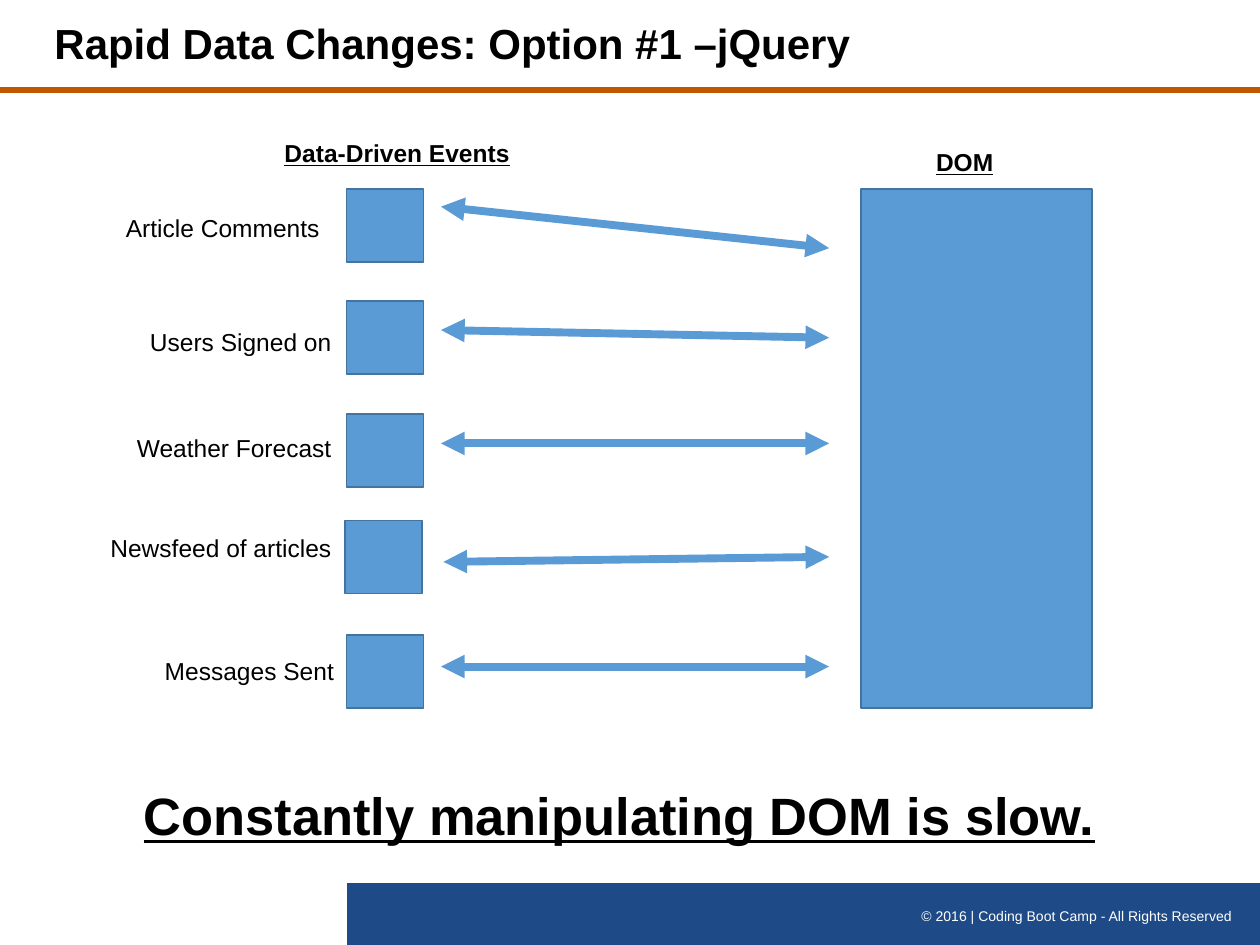
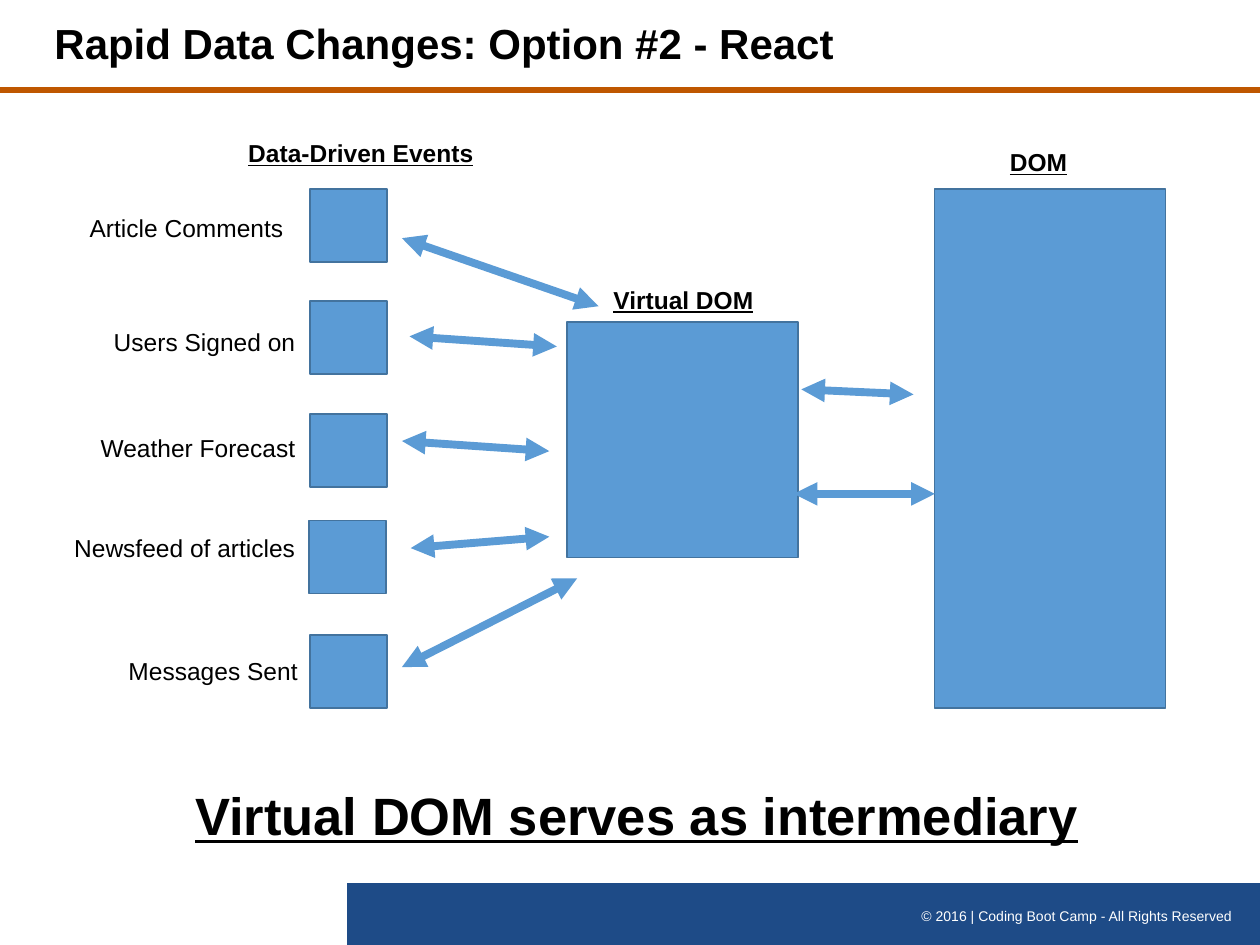
import pptx
import pptx.util
import pptx.dml.color
import pptx.enum.shapes
import pptx.enum.text
import pptx.oxml.ns
import lxml.etree

Pt = pptx.util.Pt
SHAPES = pptx.enum.shapes.MSO_SHAPE
ALIGN = pptx.enum.text.PP_ALIGN
ANCHOR = pptx.enum.text.MSO_ANCHOR

COLORS = {
    "text": "000000",
    "footer_text": "FFFFFF",
    "footer_band": "1E4B87",
    "title_rule": "BF5700",
    "block": "5B9BD5",
    "block_edge": "43739E",
}
FONTS = {
    "title": {"size": Pt(24), "bold": True},
    "heading": {"size": Pt(14), "bold": True, "underline": True},
    "label": {"size": Pt(14)},
    "message": {"size": Pt(30), "bold": True, "underline": True},
    "footer": {"size": Pt(8)},
}
COPYRIGHT = "© 2016 | Coding Boot Camp - All Rights Reserved"

SLIDE_SIZE = (720, 540)
TITLE_LEFT, TITLE_HEIGHT = 24, 52
SQUARE = (44, 41.7)
LABEL_SIZE = (175.7, 24.5)
DOM_TOP, DOM_SIZE = 108, (132, 296.6)
MESSAGE_TOP, MESSAGE_HEIGHT = 444.2, 44

# fmt: off
EVENTS = [
    {"name": "Article Comments ", "label": (-180, 118.1), "square": (0, 108)},
    {"name": "Users Signed on", "label": (-177.1, 183.6), "square": (0, 171.9)},
    {"name": "Weather Forecast", "label": (-177.1, 244.1), "square": (0, 236.7)},
    {"name": "Newsfeed of articles", "label": (-177.1, 301), "square": (-0.7, 297.4)},
    {"name": "Messages Sent", "label": (-175.7, 371.5), "square": (0, 362.7)},
]
# fmt: on

DIAGRAMS = [
    {
        "title": "Rapid Data Changes: Option #1 –jQuery",
        "title_width": 630,
        "events_left": 198,
        "dom_left": 491.8,
        "virtual_dom": None,
        "arrows": [
            (252, 118.1, 473.8, 141.8),
            (252, 188.6, 473.8, 193),
            (252, 253.4, 473.8, 253.4),
            (253.4, 321.1, 473.8, 318.2),
            (252, 380.9, 473.8, 380.9),
        ],
        "message": "Constantly manipulating DOM is slow.",
        "message_span": (24, 660),
    },
    {
        "title": "Rapid Data Changes: Option #2 - React",
        "title_width": 564,
        "events_left": 177.3,
        "dom_left": 534,
        "virtual_dom": {"block": (324, 184.1, 132, 134.6), "heading": (343.4, 159.1, 102.2, 24.5)},
        "arrows": [
            (229.7, 136.1, 342, 175),
            (234, 192.2, 318.2, 198),
            (229.7, 252, 313.9, 257.8),
            (234.7, 313.2, 313.9, 306.7),
            (229.7, 381.2, 329.8, 330.5),
            (457.9, 222.5, 522, 225.4),
            (453.6, 282.2, 534.2, 282.2),
        ],
        "message": "Virtual DOM serves as intermediary",
        "message_span": (86.4, 555.1),
    },
]


def rgb(color):
    return pptx.dml.color.RGBColor.from_string(COLORS[color])


def set_attributes(target, values):
    for name, value in values.items():
        setattr(target, name, value)


def add_text(slide, text, box, style, align=ALIGN.LEFT, color="text", anchor=ANCHOR.TOP, spacing=1.0):
    frame = slide.shapes.add_textbox(*map(Pt, box)).text_frame
    set_attributes(frame, {"word_wrap": True, "vertical_anchor": anchor})
    paragraph = frame.paragraphs[0]
    set_attributes(paragraph, {"text": text, "alignment": align, "line_spacing": spacing})
    set_attributes(paragraph.runs[0].font, {"name": "Arial", **FONTS[style]})
    paragraph.runs[0].font.color.rgb = rgb(color)


def add_block(slide, box, fill="block", edge="block_edge", kind=SHAPES.RECTANGLE):
    shape = slide.shapes.add_shape(kind, *map(Pt, box))
    shape.shadow.inherit = False
    shape.fill.solid()
    shape.fill.fore_color.rgb = rgb(fill)
    if edge:
        shape.line.color.rgb = rgb(edge)
        shape.line.width = Pt(1)
    else:
        shape.line.fill.background()


def add_line(slide, ends, color, width, arrowheads=()):
    connector = slide.shapes.add_connector(pptx.enum.shapes.MSO_CONNECTOR.STRAIGHT, *map(Pt, ends))
    connector.line.color.rgb = rgb(color)
    connector.line.width = Pt(width)
    outline = connector.line._get_or_add_ln()
    for end in arrowheads:
        lxml.etree.SubElement(outline, pptx.oxml.ns.qn(end), type="triangle")
    lxml.etree.SubElement(connector._element.spPr, pptx.oxml.ns.qn("a:effectLst"))


def add_frame(slide, title, title_width):
    add_block(slide, (198, 504.6, 522.5, 36), "footer_band", None, SHAPES.FLOWCHART_PROCESS)
    add_line(slide, (0, TITLE_HEIGHT - 0.5, SLIDE_SIZE[0], TITLE_HEIGHT - 0.5), "title_rule", 3.25)
    add_text(slide, COPYRIGHT, (491.8, 514.8, 219.6, 17.3), "footer", ALIGN.RIGHT, "footer_text")
    title_box = (TITLE_LEFT, 0, title_width, TITLE_HEIGHT)
    add_text(slide, title, title_box, "title", anchor=ANCHOR.MIDDLE, spacing=0.9)


def add_events(slide, left):
    add_text(slide, "Data-Driven Events", (left - 42.5, 75.6, 146.9, 24.5), "heading")
    for event in EVENTS:
        (label_shift, label_top), (square_shift, square_top) = event["label"], event["square"]
        add_block(slide, (left + square_shift, square_top, *SQUARE))
        add_text(slide, event["name"], (left + label_shift, label_top, *LABEL_SIZE), "label", ALIGN.RIGHT)


def add_diagram(slide, diagram):
    add_frame(slide, diagram["title"], diagram["title_width"])
    add_events(slide, diagram["events_left"])
    dom_left = diagram["dom_left"]
    add_block(slide, (dom_left, DOM_TOP, *DOM_SIZE))
    add_text(slide, "DOM", (dom_left + 36, 80.6, 81.4, 24.5), "heading")
    virtual_dom = diagram["virtual_dom"]
    if virtual_dom:
        add_block(slide, virtual_dom["block"])
        add_text(slide, "Virtual DOM", virtual_dom["heading"], "heading")
    for ends in diagram["arrows"]:
        add_line(slide, ends, "block", 4.5, ("a:headEnd", "a:tailEnd"))
    left, width = diagram["message_span"]
    add_text(slide, diagram["message"], (left, MESSAGE_TOP, width, MESSAGE_HEIGHT), "message", ALIGN.CENTER)


def main():
    presentation = pptx.Presentation()
    presentation.slide_width, presentation.slide_height = map(Pt, SLIDE_SIZE)
    for diagram in DIAGRAMS:
        add_diagram(presentation.slides.add_slide(presentation.slide_layouts[6]), diagram)
    presentation.save("out.pptx")


if __name__ == "__main__":
    main()
